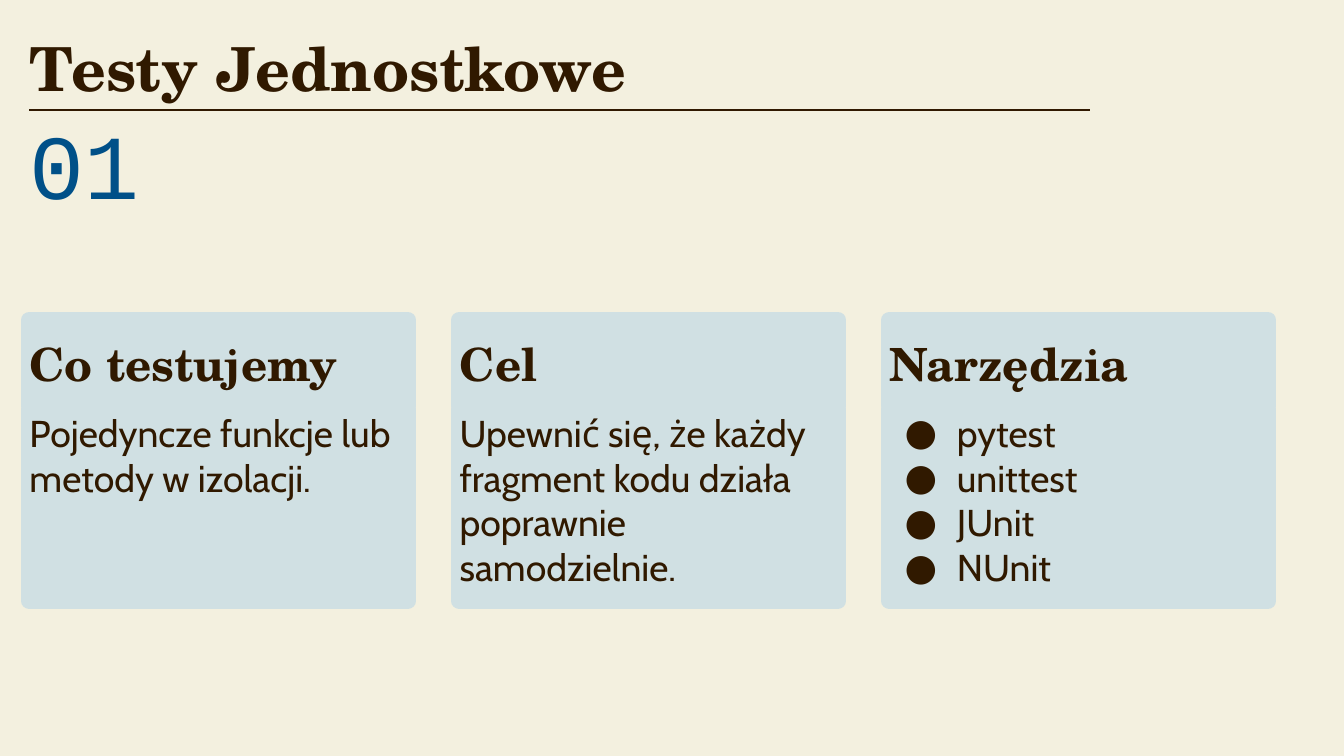
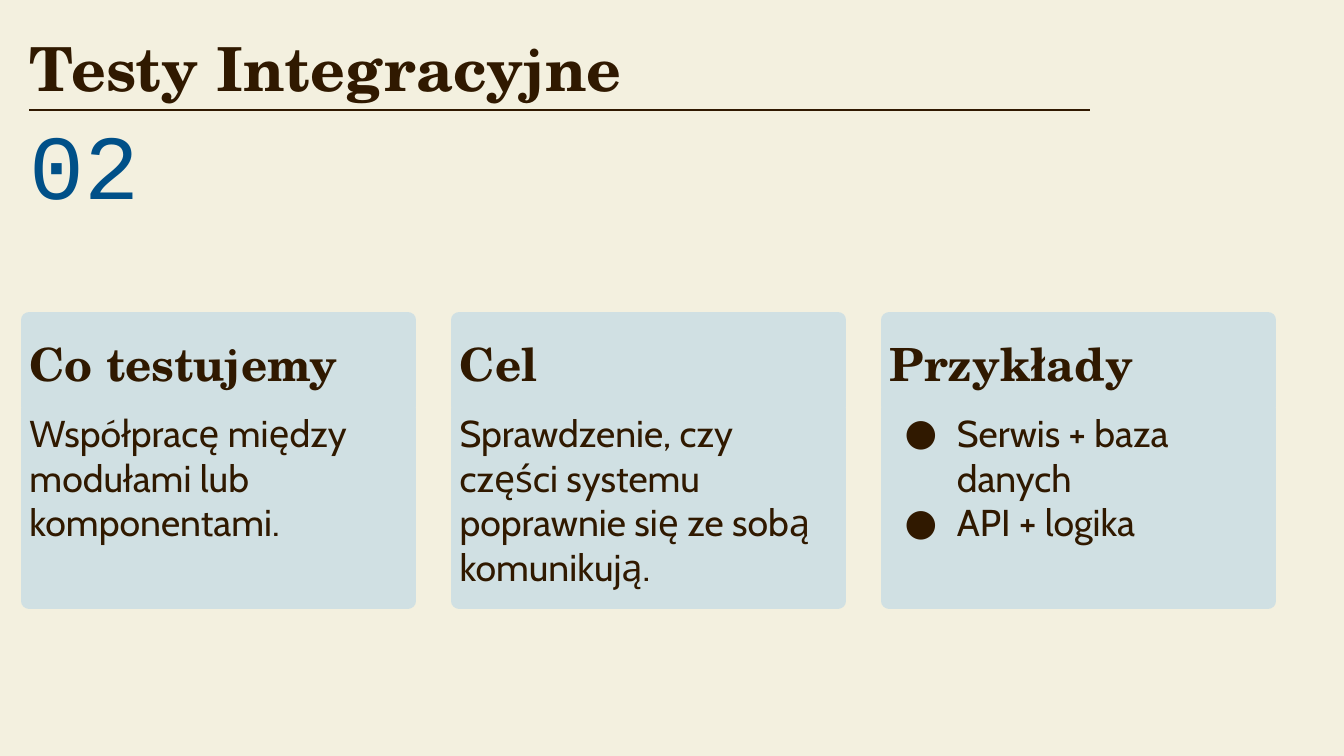
import lxml.etree
import pptx
import pptx.dml.color
import pptx.enum.shapes
import pptx.enum.text
import pptx.oxml.ns
import pptx.util

Pt = pptx.util.Pt
qn = pptx.oxml.ns.qn
Anchor = pptx.enum.text.MSO_ANCHOR

PAPER, INK, BLUE, CARD = "F3F0DF", "301900", "005088", "D0E0E3"
SERIF, SANS, MONO = "TeX Gyre Schola", "Cabin", "Courier New"
LEFT, STEP, WIDTH = 15.8, 230.4, 202.6

TOPICS = [
    ("Testy Jednostkowe", [
        ("Co testujemy", "Pojedyncze funkcje lub metody w izolacji."),
        ("Cel", "Upewnić się, że każdy fragment kodu działa poprawnie samodzielnie."),
        ("Narzędzia", ["pytest", "unittest", "JUnit", "NUnit"]),
    ]),
    ("Testy Integracyjne", [
        ("Co testujemy", "Współpracę między modułami lub komponentami."),
        ("Cel", "Sprawdzenie, czy części systemu poprawnie się ze sobą komunikują."),
        ("Przykłady", ["Serwis + baza danych", "API + logika"]),
    ]),
]


def color(code):
    return pptx.dml.color.RGBColor.from_string(code)


class Deck:
    def __init__(self):
        self.prs = pptx.Presentation()
        self.prs.slide_width, self.prs.slide_height = Pt(720), Pt(405)
        fill = self.prs.slide_master.background.fill
        fill.solid()
        fill.fore_color.rgb = color(PAPER)

    def start(self):
        self.slide = self.prs.slides.add_slide(self.prs.slide_layouts[1])

    def place(self, shape, box):
        shape.left, shape.top, shape.width, shape.height = map(Pt, box)

    def label(self, shape, lines, face, size, tint=INK, bold=False,
              anchor=Anchor.MIDDLE, inset=(0, 0, 7.2, 0), bullet=False, spacing=1.0):
        frame = shape.text_frame
        frame.word_wrap = True
        frame.auto_size = pptx.enum.text.MSO_AUTO_SIZE.NONE
        frame.vertical_anchor = anchor
        (frame.margin_left, frame.margin_top,
         frame.margin_right, frame.margin_bottom) = map(Pt, inset)
        frame.text = "\n".join(lines)
        for para in frame.paragraphs:
            if bullet:
                self.mark(para)
            para.alignment = pptx.enum.text.PP_ALIGN.LEFT
            para.space_before = Pt(0)
            para.line_spacing = spacing
            font = para.font
            font.name, font.size, font.bold = face, Pt(size), bold
            font.color.rgb = color(tint)

    def mark(self, para):
        """Give a paragraph a round bullet and a hanging indent."""
        props = para._p.get_or_add_pPr()
        props.set("marL", str(int(Pt(36))))
        props.set("indent", str(int(Pt(-28))))
        tint = lxml.etree.SubElement(props, qn("a:buClr"))
        lxml.etree.SubElement(tint, qn("a:srgbClr"), val=INK)
        lxml.etree.SubElement(props, qn("a:buFont"), typeface=SANS)
        lxml.etree.SubElement(props, qn("a:buChar"), char="●")

    def title(self, text):
        shape = self.slide.shapes.title
        self.place(shape, (LEFT, 13, 398, 46))
        self.label(shape, [text], SERIF, 32.5, bold=True)

    def number(self, value):
        shape = self.slide.shapes.add_textbox(Pt(LEFT), Pt(60), Pt(126), Pt(60))
        self.label(shape, [f"{value:02}"], MONO, 49, BLUE,
                   inset=(0, 7.2, 0, 2.2), spacing=0.8)

    def rule(self):
        line = self.slide.shapes.add_connector(
            pptx.enum.shapes.MSO_CONNECTOR.STRAIGHT, Pt(LEFT), Pt(59), Pt(584), Pt(59))
        line.line.color.rgb = color(INK)
        line.line.width = Pt(0.75)
        lxml.etree.SubElement(line._element.spPr, qn("a:effectLst"))

    def panel(self, box, shape=None):
        """Style a shape, or a new rectangle, as a card with soft corners."""
        if shape is None:
            shape = self.slide.shapes.add_shape(
                pptx.enum.shapes.MSO_SHAPE.RECTANGLE, *map(Pt, box))
            shape.shadow.inherit = False
        self.place(shape, box)
        shape.fill.solid()
        shape.fill.fore_color.rgb = color(CARD)
        shape.line.color.rgb = color(CARD)
        shape.line.width = Pt(9)
        lxml.etree.SubElement(shape.line._get_or_add_ln(), qn("a:round"))
        return shape

    def card(self, left, head, body):
        """Draw a heading above plain text, or above a bulleted list."""
        top = self.panel((left, 171.4, WIDTH, 46))
        self.label(top, [head], SERIF, 24.5, bold=True)
        listed = isinstance(body, list)
        holder = self.slide.placeholders[1] if listed else None
        base = self.panel((left, 219.6, WIDTH, 102.4), holder)
        self.label(base, body if listed else [body], SANS, 20,
                   anchor=Anchor.TOP, inset=(0, 0, 0, 0), bullet=listed)


def main():
    deck = Deck()
    for count, (title, cards) in enumerate(TOPICS, 1):
        deck.start()
        deck.title(title)
        deck.number(count)
        deck.rule()
        for col, (head, body) in enumerate(cards):
            deck.card(LEFT + col * STEP, head, body)
    deck.prs.save("out.pptx")


if __name__ == "__main__":
    main()
